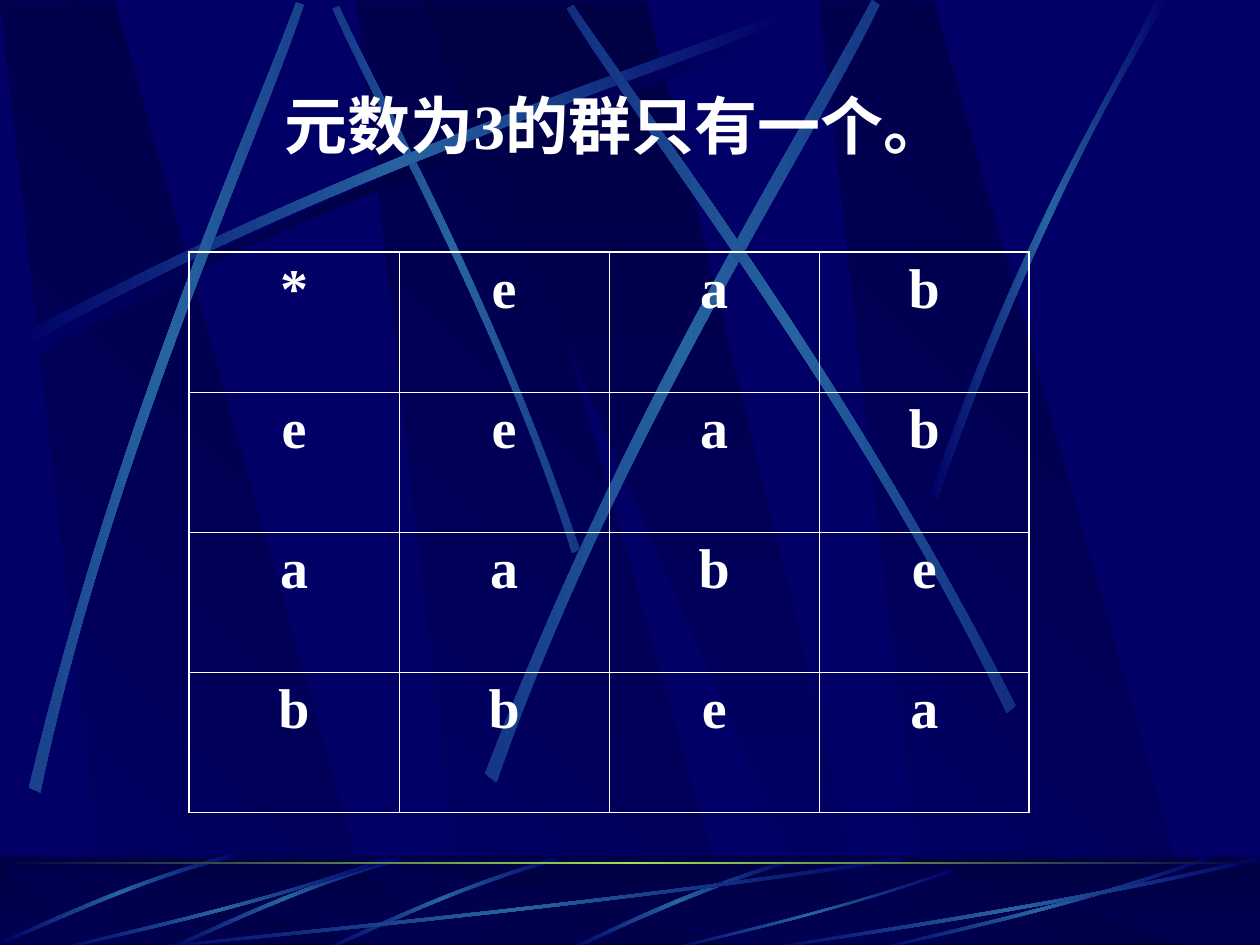
from dataclasses import dataclass
from math import cos, radians, sin

from lxml import etree
from pptx import Presentation, util as u
from pptx.dml.color import RGBColor
from pptx.enum import shapes, text
from pptx.oxml.ns import qn

WHITE = RGBColor(0xFF, 0xFF, 0xFF)
BLUE = RGBColor(0x00, 0x00, 0x66)
DARK = RGBColor(0x00, 0x00, 0x44)
STEEL = RGBColor(0x26, 0x63, 0xA0)
LIME = RGBColor(0x9C, 0xE1, 0x57)

FONT = {"name": "Times New Roman", "bold": True}
GRID = ("*eab", "eeab", "aabe", "bbea")
Point = tuple[float, float]


@dataclass(frozen=True)
class Ray:
    front: tuple[Point, ...]
    back: tuple[Point, ...]
    turn: float = 0
    glow: RGBColor = STEEL


@dataclass(frozen=True)
class Panel:
    left: float
    edge: tuple[float, float, float, float]
    angle: int


SLANT = (0.86, 3.02, 0.91, 0)
WEDGE = (3.25, 3.61, 1.8, 0)
PANELS = [Panel(x, SLANT, 135) for x in (2.83, 0, 6.5)] + [Panel(3.33, WEDGE, 90)]

HIGH = [
    Ray(((0.2, 2.75), (2.84, 1.34), (5.24, 0.59), (6.26, 0.18)),
        ((6.29, 0.24), (5.28, 0.69), (2.54, 1.51), (0.23, 2.85)), 0, DARK),
    Ray(((4.6, 4.36), (3.91, 2.34), (3.02, 0.77), (2.69, 0.05)),
        ((2.64, 0.07), (2.95, 0.79), (3.98, 2.58), (4.54, 4.39)), 45),
    Ray(((0.14, 2.67), (2.78, 1.25), (5.18, 0.51), (6.2, 0.1)),
        ((6.23, 0.16), (5.22, 0.61), (2.48, 1.43), (0.17, 2.77))),
    Ray(((0.23, 6.25), (0.93, 3.34), (1.97, 1.05), (2.35, 0.02)),
        ((2.41, 0.04), (2.07, 1.08), (0.86, 3.68), (0.32, 6.29)), 311.7),
    Ray(((3.85, 6.14), (4.98, 3.2), (6.38, 1.02), (6.92, 0)),
        ((6.98, 0.04), (6.49, 1.08), (4.86, 3.55), (3.94, 6.21)), 321.6),
    Ray(((8.06, 5.6), (6.7, 2.93), (5.16, 0.95), (4.55, 0.04)),
        ((4.5, 0.07), (5.07, 1.01), (6.85, 3.25), (7.99, 5.66)), 34.8),
    Ray(((7.38, 3.93), (8.14, 1.73), (8.88, 0.66), (9.17, 0)),
        ((9.27, 0), (8.36, 1.45), (7.69, 3.22), (7.44, 3.97))),
]


def shift(ray: Ray, step: float) -> Ray:
    front, back = (tuple((x + step, y) for x, y in side) for side in (ray.front, ray.back))
    return Ray(front, back, ray.turn, ray.glow)


SHORT = Ray(((4.42, 6.8), (3.55, 7.05), (2.87, 7.4), (2.56, 7.53)),
            ((2.57, 7.55), (2.88, 7.43), (3.65, 7.03), (4.44, 6.83)), 314.9)
LONG = Ray(((3.08, 6.83), (1.93, 7.23), (0.88, 7.44), (0.43, 7.55)),
           ((0.42, 7.54), (0.86, 7.41), (2.06, 7.18), (3.07, 6.8)))
LOW = [
    Ray(((6.27, 6.82), (5.37, 7.09), (4.77, 7.42), (4.48, 7.54)),
        ((4.53, 7.55), (4.9, 7.37), (5.71, 7), (6.28, 6.85))),
    SHORT,
    shift(SHORT, -1.25),
    Ray(((1.86, 6.77), (0.99, 7), (0.33, 7.34), (0.02, 7.46)),
        ((0.03, 7.48), (0.34, 7.37), (1.1, 6.98), (1.88, 6.8)), 314.9),
    Ray(((7.17, 6.83), (4.49, 7.23), (2.06, 7.44), (1.03, 7.55)),
        ((1, 7.54), (2.02, 7.41), (4.8, 7.18), (7.14, 6.8))),
    LONG,
    Ray(((7.58, 6.91), (6.58, 7.26), (5.67, 7.45), (5.28, 7.55)),
        ((5.27, 7.54), (5.65, 7.43), (6.69, 7.22), (7.57, 6.89))),
    shift(LONG, 6.5),
    Ray(((10, 6.83), (8.27, 7.23), (6.69, 7.44), (6.02, 7.55)),
        ((6, 7.54), (6.66, 7.41), (8.46, 7.18), (9.98, 6.8))),
]


def size(inches: float) -> u.Length:
    return u.Cm(inches * 2.54)


def apply(item, form: dict) -> None:
    for key, value in form.items():
        setattr(item, key, value)


def node(parent, tag: str, **attrs):
    return etree.SubElement(parent, qn(tag), {k: str(v) for k, v in attrs.items()})


def blend(shape, tints: list[RGBColor], angle: int) -> None:
    shape.shadow.inherit = False
    shape.line.fill.background()
    shape.fill.gradient()
    grad = shape.element.spPr.find(qn("a:gradFill"))
    for child in list(grad):
        grad.remove(child)
    grad.set("rotWithShape", "0")
    stops = node(grad, "a:gsLst")
    for i, tint in enumerate(tints):
        stop = node(stops, "a:gs", pos=100000 * i // (len(tints) - 1))
        node(stop, "a:srgbClr", val=tint)
    node(grad, "a:lin", ang=angle * 60000, scaled=0)


def outline(group, points: list[Point]):
    dots = [(size(x), size(y)) for x, y in points]
    build = group.shapes.build_freeform(*dots[0], scale=1.0)
    build.add_line_segments(dots[1:], close=True)
    return build.convert_to_shape()


def bend(shape) -> None:
    route = next(shape.element.iter(qn("a:path")))
    lines = route.findall(qn("a:lnTo"))
    for trio in (lines[:3], lines[4:]):
        curve = node(route, "a:cubicBezTo")
        trio[0].addprevious(curve)
        for line in trio:
            curve.append(line[0])
            route.remove(line)


def spin(point: Point, turn: float) -> Point:
    x, y = point
    c, s = cos(radians(turn)), sin(radians(turn))
    return x * c - y * s, x * s + y * c


def draw_ray(group, ray: Ray) -> None:
    dots = [spin(p, -ray.turn) for p in ray.front + ray.back]
    shape = outline(group, dots)
    bend(shape)
    mid = [(min(axis) + max(axis)) / 2 for axis in zip(*dots)]
    x, y = spin(mid, ray.turn)
    apply(shape, {"left": size(x) - shape.width // 2,
                  "top": size(y) - shape.height // 2, "rotation": ray.turn})
    blend(shape, [BLUE, ray.glow, BLUE], 180)


def draw_panel(group, panel: Panel, top: float, height: float) -> None:
    rows = (top + height, top + height, top, top)
    shape = outline(group, [(panel.left + x, y) for x, y in zip(panel.edge, rows)])
    blend(shape, [DARK, BLUE], panel.angle)


def draw_band(group, top: float, height: float):
    return group.shapes.add_shape(shapes.MSO_SHAPE.RECTANGLE, 0, size(top), size(10), size(height))


def draw_veil(group) -> None:
    veil = draw_band(group, 6.79, 0.75)
    veil.shadow.inherit = False
    veil.line.fill.background()
    veil.fill.solid()
    veil.fill.fore_color.rgb = DARK
    node(next(veil.element.spPr.iter(qn("a:srgbClr"))), "a:alpha", val=50000)


def draw_back(slide, master) -> None:
    master.background.fill.solid()
    master.background.fill.fore_color.rgb = BLUE
    group = slide.shapes.add_group_shape()
    for panel in PANELS:
        draw_panel(group, panel, 0.01, 7.51)
    for ray in HIGH:
        draw_ray(group, ray)
    blend(draw_band(group, 6.8, 0.75), [DARK, BLUE], 90)
    for panel in PANELS:
        draw_panel(group, panel, 6.88, 0.66)
    draw_veil(group)
    for ray in LOW:
        draw_ray(group, ray)
    blend(draw_band(group, 6.84, 0.02), [DARK, LIME, DARK], 180)
    for i, mark in enumerate(group.element.iter(qn("p:cNvPr"))):
        mark.set("id", str(100 + i))
    master.shapes.element.insert(2, group.element)


def draw_table(slide) -> None:
    count = len(GRID)
    table = slide.shapes.add_table(count, count, size(1.5), size(2), size(6.67), size(4.45)).table
    apply(table, {"first_row": False, "horz_banding": False})
    for r, row in enumerate(GRID):
        for c, mark in enumerate(row):
            cell = table.cell(r, c)
            props = cell._tc.get_or_add_tcPr()
            outer = {"L": c == 0, "R": c == count - 1, "T": r == 0, "B": r == count - 1}
            for side, edge in outer.items():
                line = node(props, f"a:ln{side}", w=u.Pt(1.08 if edge else 0.45))
                node(node(line, "a:solidFill"), "a:srgbClr", val=WHITE)
            cell.fill.background()
            cell.text = mark
            para = cell.text_frame.paragraphs[0]
            para.alignment = text.PP_ALIGN.CENTER
            font = para.runs[0].font
            apply(font, FONT | {"size": u.Pt(32)})
            font.color.rgb = WHITE


def draw_title(slide) -> None:
    title = slide.shapes.title
    apply(title, {"left": size(2.16), "top": size(0.64), "width": size(5.69), "height": size(0.7)})
    frame = title.text_frame
    frame.text = "元数为3的群只有一个。"
    apply(frame, {"word_wrap": False, "auto_size": text.MSO_AUTO_SIZE.SHAPE_TO_FIT_TEXT,
                  "vertical_anchor": text.MSO_ANCHOR.TOP})
    para = frame.paragraphs[0]
    para.alignment = text.PP_ALIGN.LEFT
    font = para.runs[0].font
    apply(font, FONT | {"size": u.Pt(36)})
    font.color.rgb = WHITE
    title.element.getparent().append(title.element)


def main() -> None:
    deck = Presentation()
    apply(deck, {"slide_width": size(10), "slide_height": size(7.5)})
    slide = deck.slides.add_slide(deck.slide_layouts[5])
    draw_back(slide, deck.slide_master)
    draw_table(slide)
    draw_title(slide)
    deck.save("out.pptx")


if __name__ == "__main__":
    main()
